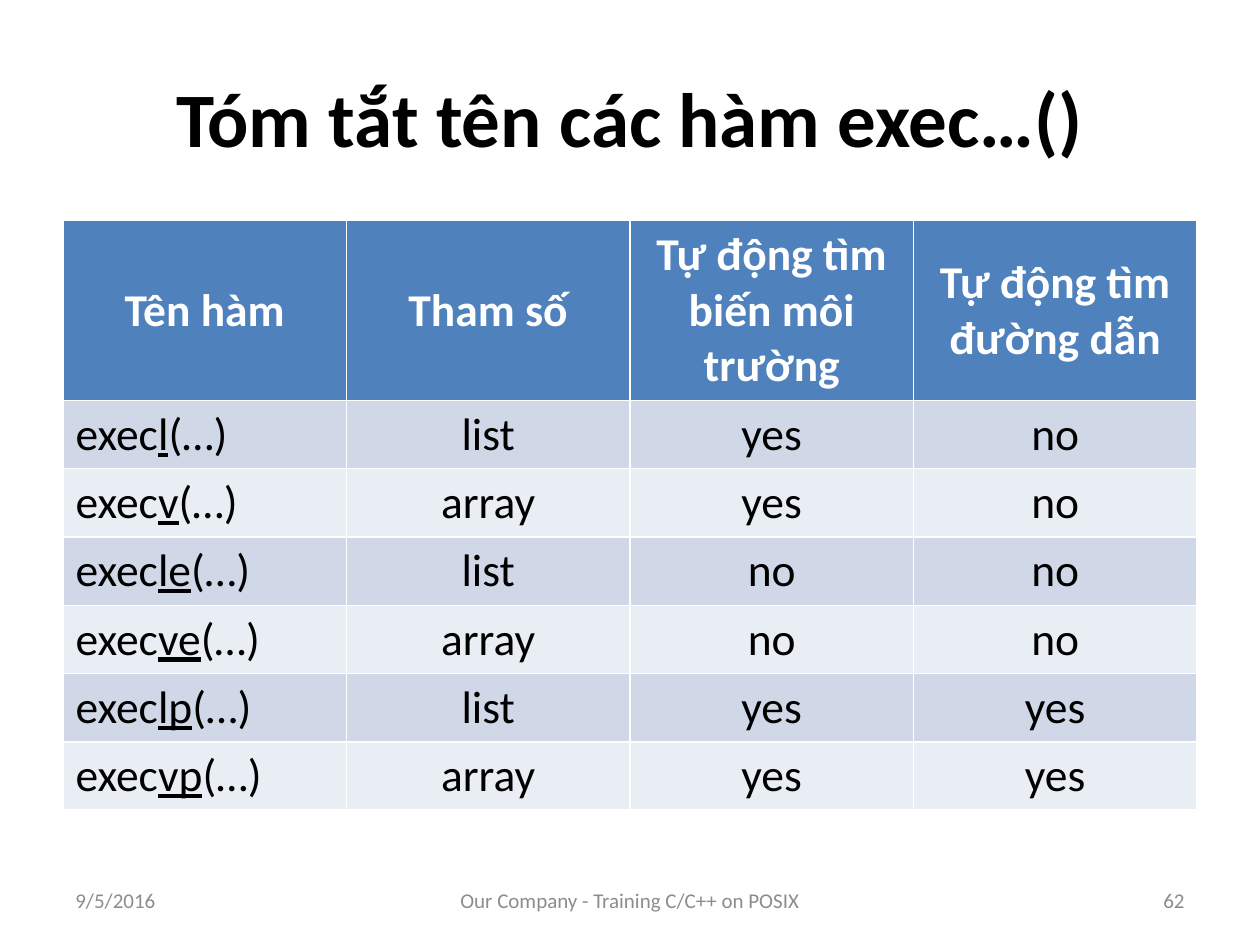
from dataclasses import dataclass

from pptx import Presentation
from pptx.dml.color import RGBColor as Rgb
from pptx.enum.text import MSO_ANCHOR as Anchor, PP_ALIGN as Align
from pptx.util import Cm, Pt


@dataclass(frozen=True)
class Theme:
    font: str = "Calibri"
    ink: str = "000000"
    light: str = "FFFFFF"
    muted: str = "8C8C8C"
    header: str = "4F81BD"
    bands: tuple = ("D0D8E8", "E9EDF4")
    title_size: int = 44
    table_size: int = 26
    footer_size: int = 12


THEME = Theme()
MARGIN = 1.27
CONTENT_WIDTH = 22.86
TITLE_ONLY = 5

HEADINGS = ("Tên hàm", "Tham số", "Tự động tìm biến môi trường", "Tự động tìm đường dẫn")
# Suffix of exec, argument form, finds environment, finds path
EXEC_FUNCTIONS = (
    ("l", "list", "yes", "no"),
    ("v", "array", "yes", "no"),
    ("le", "list", "no", "no"),
    ("ve", "array", "no", "no"),
    ("lp", "list", "yes", "yes"),
    ("vp", "array", "yes", "yes"),
)


def write(frame, *parts, size, color=THEME.ink, bold=False, align=Align.LEFT, underlined=None):
    """Write the parts as runs of one paragraph; underlined is the index of the part to underline."""
    frame.word_wrap = True
    paragraph = frame.paragraphs[0]
    paragraph.alignment = align
    for index, part in enumerate(parts):
        run = paragraph.add_run()
        run.text = part
        font = run.font
        font.name, font.size, font.bold = THEME.font, Pt(size), bold
        font.color.rgb = Rgb.from_string(color)
        if index == underlined:
            font.underline = True


def add_title(slide, text):
    title = slide.shapes.title
    title.left, title.top = Cm(MARGIN), Cm(0.76)
    title.width, title.height = Cm(CONTENT_WIDTH), Cm(3.18)
    title.text_frame.vertical_anchor = Anchor.MIDDLE
    write(title.text_frame, text, size=THEME.title_size, bold=True, align=Align.CENTER)


def fill_cell(cell, *parts, fill, **text_format):
    cell.fill.solid()
    cell.fill.fore_color.rgb = Rgb.from_string(fill)
    write(cell.text_frame, *parts, size=THEME.table_size, **text_format)


def add_function_table(slide):
    header_height, row_height = 3.6, 1.37
    row_count = len(EXEC_FUNCTIONS)
    table = slide.shapes.add_table(
        row_count + 1, len(HEADINGS), Cm(MARGIN), Cm(4.45),
        Cm(CONTENT_WIDTH), Cm(header_height + row_count * row_height),
    ).table
    for row in table.rows:
        row.height = Cm(row_height)
    table.rows[0].height = Cm(header_height)

    for column, heading in enumerate(HEADINGS):
        cell = table.cell(0, column)
        cell.vertical_anchor = Anchor.MIDDLE
        fill_cell(cell, heading, fill=THEME.header, color=THEME.light, bold=True,
                  align=Align.CENTER)

    for row, (suffix, *traits) in enumerate(EXEC_FUNCTIONS, start=1):
        band = THEME.bands[(row - 1) % 2]
        fill_cell(table.cell(row, 0), "exec", suffix, "(…)", fill=band, underlined=1)
        for column, trait in enumerate(traits, start=1):
            fill_cell(table.cell(row, column), trait, fill=band, align=Align.CENTER)


def add_footer(slide, text, left, width, align):
    footer = slide.shapes.add_textbox(Cm(left), Cm(17.65), Cm(width), Cm(1.01))
    footer.text_frame.vertical_anchor = Anchor.MIDDLE
    write(footer.text_frame, text, size=THEME.footer_size, color=THEME.muted, align=align)


def main():
    deck = Presentation()
    deck.slide_width, deck.slide_height = Cm(25.4), Cm(19.05)
    slide = deck.slides.add_slide(deck.slide_layouts[TITLE_ONLY])
    add_title(slide, "Tóm tắt tên các hàm exec…()")
    add_function_table(slide)

    side_width, course_width = 5.93, 8.04
    right_edge = MARGIN + CONTENT_WIDTH
    add_footer(slide, "9/5/2016", MARGIN, side_width, Align.LEFT)
    add_footer(slide, "Our Company - Training C/C++ on POSIX",
               MARGIN + (CONTENT_WIDTH - course_width) / 2, course_width, Align.CENTER)
    add_footer(slide, "62", right_edge - side_width, side_width, Align.RIGHT)
    deck.save("out.pptx")


if __name__ == "__main__":
    main()
